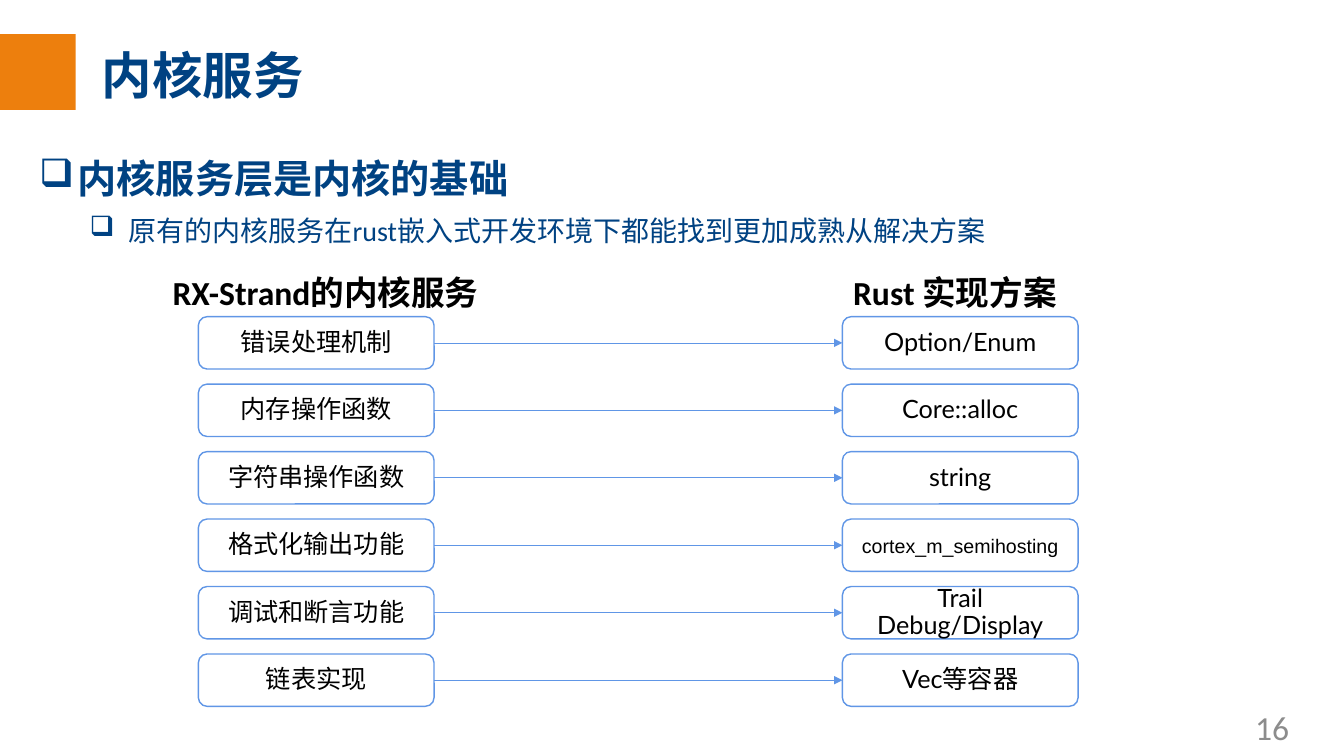
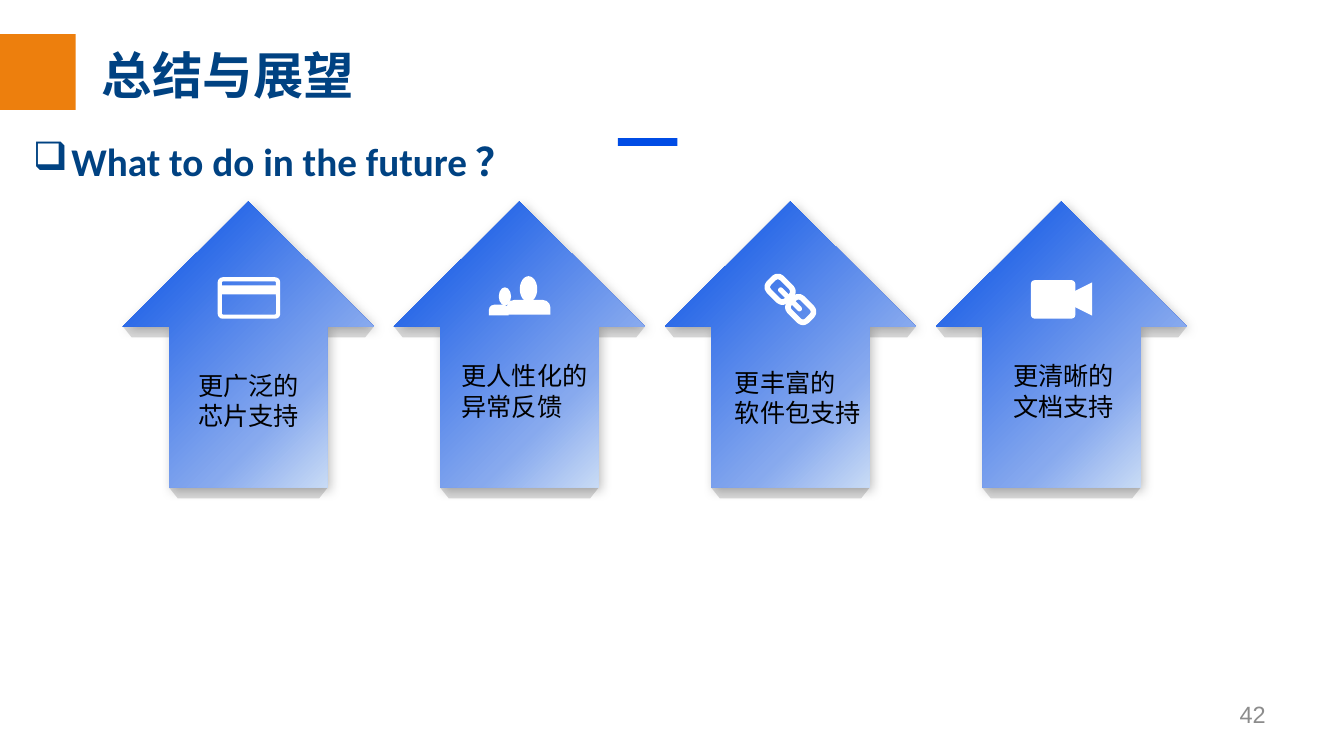
from copy import deepcopy
from dataclasses import dataclass

from lxml import etree
from pptx import Presentation, util as u
from pptx.dml.color import RGBColor
from pptx.enum import shapes, text
from pptx.oxml import ns


@dataclass(frozen=True)
class Theme:
    navy: str = "004282"
    orange: str = "ED7F0D"
    blue: str = "004CE5"
    outline: str = "6096E6"
    lip: str = "D9D9D9"
    grey: str = "8C8C8C"
    black: str = "000000"
    white: str = "FFFFFF"
    gradient: tuple = ((0, "004CE5"), (0.69, "87A9EE"), (1, "E3EFF8"))
    title: float = 36
    heading: float = 28
    column: float = 24
    point: float = 20
    label: float = 18
    code: float = 14
    font: str = "Calibri"
    box_font: str = "Lato"
    caption_font: str = "Karla"
    code_font: str = "Arial"


THEME = Theme()
KIND = shapes.MSO_SHAPE

# Content: lengths are in centimetres
SERVICES = {
    "title": "内核服务",
    "heading": "内核服务层是内核的基础",
    "point": "原有的内核服务在rust嵌入式开发环境下都能找到更加成熟从解决方案",
    "columns": [("RX-Strand的内核服务", 4.35), ("Rust 实现方案", 21.5)],
    "pairs": [
        ("错误处理机制", "Option/Enum"),
        ("内存操作函数", "Core::alloc"),
        ("字符串操作函数", "string"),
        ("格式化输出功能", "cortex_m_semihosting"),
        ("调试和断言功能", "Trail Debug/Display"),
        ("链表实现", "Vec等容器"),
    ],
    "page": ("16", (25.12, 17.81, 7.62, 1.02), 24, THEME.font),
}
OUTLOOK = {
    "title": "总结与展望",
    "heading": "What to do in the future ？",
    "goals": [
        ("card", ("更广泛的", "芯片支持"), (5, 9.32)),
        ("people", ("更人性化的", "异常反馈"), (11.63, 9.09)),
        ("chain", ("更丰富的", "软件包支持"), (18.52, 9.25)),
        ("camera", ("更清晰的", "文档支持"), (25.53, 9.09)),
    ],
    "page": ("42", (24.66, 17.55, 7.49, 0.89), 16.8, THEME.code_font),
}

# Icon parts, measured from the arrow's corner: kind, place, then options
ICONS = {
    "card": [
        (KIND.ROUNDED_RECTANGLE, (2.44, 1.96, 1.47, 0.94), {"stroke": 3, "adjust": 0.08}),
        (KIND.RECTANGLE, (2.44, 2.11, 1.47, 0.23), {}),
    ],
    "people": [
        (KIND.OVAL, (2.64, 2.16, 0.31, 0.46), {}),
        (KIND.ROUND_2_SAME_RECTANGLE, (2.39, 2.6, 0.5, 0.27), {"adjust": 0.5}),
        (KIND.OVAL, (3.17, 1.88, 0.44, 0.65), {}),
        (KIND.ROUND_2_SAME_RECTANGLE, (2.84, 2.48, 1.1, 0.37), {"adjust": 0.5}),
    ],
    "chain": [
        (KIND.ROUNDED_RECTANGLE, (left, top, 0.62, 0.46),
         {"stroke": 4, "turn": 45, "adjust": 0.3})
        for left, top in ((2.59, 1.98), (3.11, 2.49))
    ] + [(KIND.ROUNDED_RECTANGLE, (2.75, 2.4, 0.8, 0.13), {"turn": 45, "adjust": 0.5})],
    "camera": [
        (KIND.ROUNDED_RECTANGLE, (2.39, 1.98, 1.12, 0.97), {"adjust": 0.1}),
        (KIND.TRAPEZOID, (3.3, 2.24, 0.84, 0.43), {"turn": 270, "adjust": 0.5}),
    ],
}

# Format values
TIGHT = {"margin_left": 0, "margin_right": 0, "margin_top": u.Cm(0.03),
         "margin_bottom": 0, "vertical_anchor": text.MSO_ANCHOR.TOP}
FLUSH = {**TIGHT, "margin_top": 0, "word_wrap": False}
MIDDLE = {"vertical_anchor": text.MSO_ANCHOR.MIDDLE}
LEFT = {"alignment": text.PP_ALIGN.LEFT, "space_before": u.Pt(1)}
WIDE = {**LEFT, "line_spacing": 1.3}
CENTRED = {"alignment": text.PP_ALIGN.CENTER}
BOXED = {**CENTRED, "line_spacing": u.Pt(19.5), "space_after": u.Pt(9)}
RIGHT = {"alignment": text.PP_ALIGN.RIGHT}


# Shared helpers
def assign(target, values):
    for name, value in values.items():
        setattr(target, name, value)


def cm(values):
    return [u.Cm(value) for value in values]


def rgb(color):
    return RGBColor.from_string(color)


def font_values(size, name=THEME.font, bold=False):
    return {"size": u.Pt(size), "name": name, "bold": bold}


def write(frame, lines, frame_format, paragraph_format, font, color):
    assign(frame, {"word_wrap": True, **frame_format})
    for index, line in enumerate(lines):
        paragraph = frame.paragraphs[0] if index == 0 else frame.add_paragraph()
        assign(paragraph, paragraph_format)
        run = paragraph.add_run()
        run.text = line
        assign(run.font, font)
        run.font.color.rgb = rgb(color)


def add_text(slide, place, *content):
    frame = slide.shapes.add_textbox(*cm(place)).text_frame
    write(frame, *content)
    return frame


def add_shape(slide, kind, place, fill=None, line=None, width=1, turn=0, adjust=()):
    shape = slide.shapes.add_shape(kind, *cm(place))
    shape.shadow.inherit = False
    shape.rotation = turn
    for index, value in enumerate(adjust):
        shape.adjustments[index] = value
    if fill:
        shape.fill.solid()
        shape.fill.fore_color.rgb = rgb(fill)
    else:
        shape.fill.background()
    if line:
        shape.line.color.rgb = rgb(line)
        shape.line.width = u.Pt(width)
    else:
        shape.line.fill.background()
    return shape


def add_bullet(paragraph, margin):
    properties = paragraph._p.get_or_add_pPr()
    properties.set("marL", str(u.Cm(margin)))
    properties.set("indent", str(u.Cm(-0.97)))
    etree.SubElement(properties, ns.qn("a:buChar")).set("char", "❑")


def start_slide(presentation, content):
    """Add the title, its orange block and the page number."""
    slide = presentation.slides.add_slide(presentation.slide_layouts[5])
    add_shape(slide, KIND.RECTANGLE, (0, 0.86, 1.91, 1.91), THEME.orange)
    title = slide.shapes.title
    assign(title, dict(zip(("left", "top", "width", "height"),
                           cm((2.57, 1.07, 17.53, 1.57)))))
    write(title.text_frame, [content["title"]],
          {**TIGHT, "auto_size": text.MSO_AUTO_SIZE.NONE}, LEFT,
          font_values(THEME.title, bold=True), THEME.navy)
    number, place, size, font = content["page"]
    add_text(slide, place, [number], MIDDLE, RIGHT, font_values(size, font), THEME.grey)
    return slide


# Slide: kernel services matched with Rust solutions
def add_service_box(slide, left, top, label):
    box = add_shape(slide, KIND.ROUNDED_RECTANGLE, (left, top, 5.94, 1.32),
                    THEME.white, THEME.outline)
    is_code = "_" in label
    font = (font_values(THEME.code, THEME.code_font) if is_code
            else font_values(THEME.label, THEME.box_font))
    write(box.text_frame, [label], MIDDLE, CENTRED if is_code else BOXED,
          font, THEME.black)
    return box


def connect(slide, source, target):
    arrow = slide.shapes.add_connector(shapes.MSO_CONNECTOR.STRAIGHT, 0, 0, 0, 0)
    arrow.begin_connect(source, 3)
    arrow.end_connect(target, 1)
    arrow.line.color.rgb = rgb(THEME.outline)
    arrow.line.width = u.Pt(0.5)
    properties = arrow._element.spPr
    line = properties.find(ns.qn("a:ln"))
    etree.SubElement(line, ns.qn("a:tailEnd")).set("type", "triangle")
    etree.SubElement(properties, ns.qn("a:effectLst"))


def build_services(presentation):
    slide = start_slide(presentation, SERVICES)
    frame = add_text(slide, (0.97, 3.51, 29.46, 2.64),
                     [SERVICES["heading"], SERVICES["point"]], TIGHT, WIDE,
                     font_values(THEME.heading, bold=True), THEME.navy)
    heading, point = frame.paragraphs
    assign(point.runs[0].font, font_values(THEME.point))
    point.level = 1
    add_bullet(heading, 0.99)
    add_bullet(point, 2.26)
    for label, left in SERVICES["columns"]:
        add_text(slide, (left, 6.53, 8.8, 1.24), [label], TIGHT, WIDE,
                 font_values(THEME.column, bold=True), THEME.black)
    for row, pair in enumerate(SERVICES["pairs"]):
        boxes = [add_service_box(slide, left, 7.98 + 1.7 * row, label)
                 for left, label in zip((5, 21.23), pair)]
        connect(slide, *boxes)


# Slide: summary and outlook
def shade(arrow):
    """Give an arrow its three-stop gradient and soft shadow."""
    arrow.fill.gradient()
    arrow.fill.gradient_angle = 315
    properties = arrow._element.spPr
    stop_list = properties.find(".//" + ns.qn("a:gsLst"))
    stop_list.append(deepcopy(stop_list[0]))
    for stop, (position, color) in zip(arrow.fill.gradient_stops, THEME.gradient):
        stop.position = position
        stop.color.rgb = rgb(color)
    shadow = etree.SubElement(properties.find(ns.qn("a:effectLst")), ns.qn("a:outerShdw"))
    for name, value in {"blurRad": u.Pt(8), "dist": u.Pt(3), "dir": 45 * 60000}.items():
        shadow.set(name, str(value))
    color = etree.SubElement(shadow, ns.qn("a:srgbClr"), val=THEME.black)
    etree.SubElement(color, ns.qn("a:alpha"), val="25000")


def add_icon(slide, name, left, top):
    for kind, (x, y, width, height), options in ICONS[name]:
        stroke = options.get("stroke")
        paint = ({"line": THEME.white, "width": stroke} if stroke
                 else {"fill": THEME.white})
        adjust = [options["adjust"]] if "adjust" in options else []
        add_shape(slide, kind, (left + x, top + y, width, height),
                  turn=options.get("turn", 0), adjust=adjust, **paint)


def add_arrow(slide, left, top):
    """Add an up arrow standing on two grey lips."""
    width, shaft, height, head = 6.32, 3.99, 7.21, 3.15
    for lip_width, offset in ((width, head), (shaft, height)):
        add_shape(slide, KIND.TRAPEZOID,
                  (left + (width - lip_width) / 2, top + offset, lip_width, 0.27),
                  THEME.lip, turn=180, adjust=[0.8])
    shade(add_shape(slide, KIND.UP_ARROW, (left, top, width, height), THEME.blue,
                    adjust=[shaft / width, head / width]))


def build_outlook(presentation):
    slide = start_slide(presentation, OUTLOOK)
    frame = add_text(slide, (0.56, 3.23, 16.94, 1.5), [OUTLOOK["heading"]], {},
                     {**LEFT, "line_spacing": 1.1},
                     font_values(THEME.heading, bold=True), THEME.navy)
    add_bullet(frame.paragraphs[0], 0.99)
    add_shape(slide, KIND.RECTANGLE, (15.57, 3.48, 1.5, 0.2), THEME.blue)
    for column, (icon, caption, corner) in enumerate(OUTLOOK["goals"]):
        left, top = 3.1 + 6.83 * column, 5.08
        add_arrow(slide, left, top)
        add_icon(slide, icon, left, top)
        add_text(slide, (*corner, 3.2, 1.75), caption, FLUSH, {},
                 font_values(THEME.label, THEME.caption_font), THEME.black)


def main():
    presentation = Presentation()
    assign(presentation, {"slide_width": u.Cm(33.87), "slide_height": u.Cm(19.05)})
    build_services(presentation)
    build_outlook(presentation)
    presentation.save("out.pptx")


if __name__ == "__main__":
    main()
